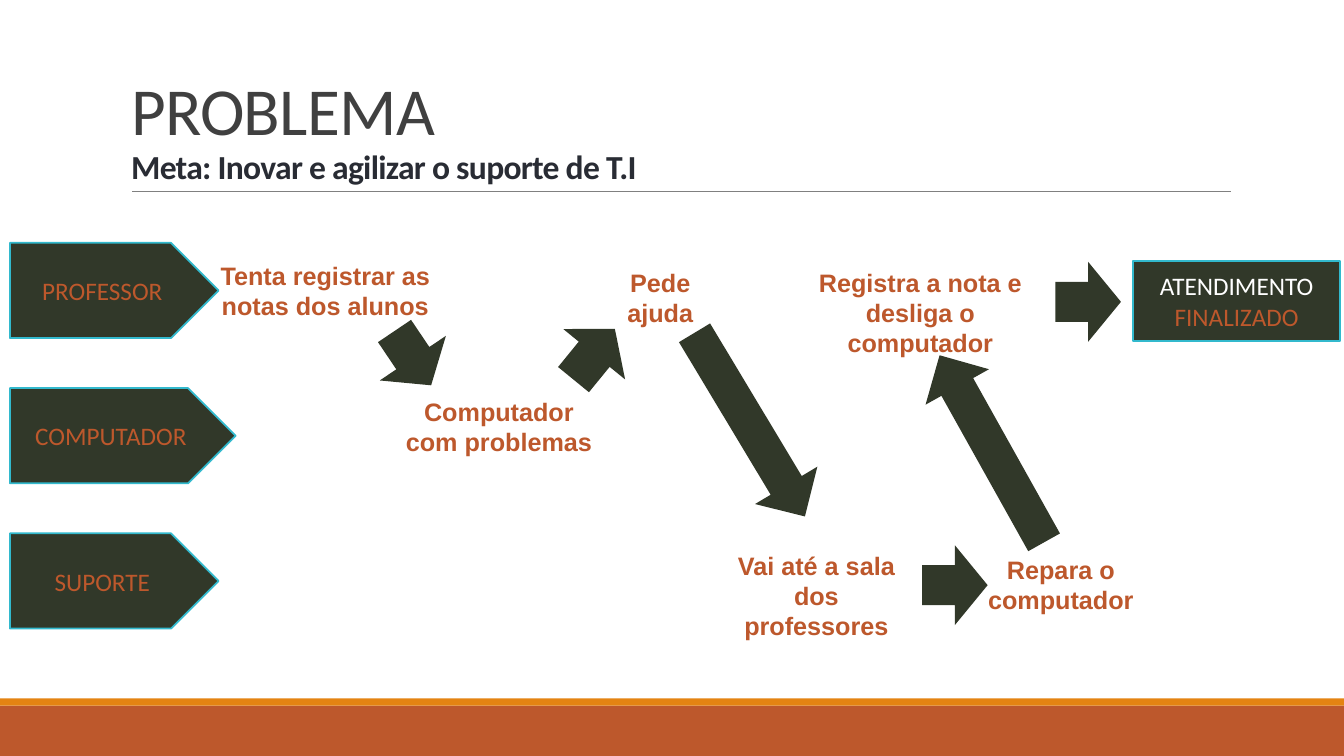
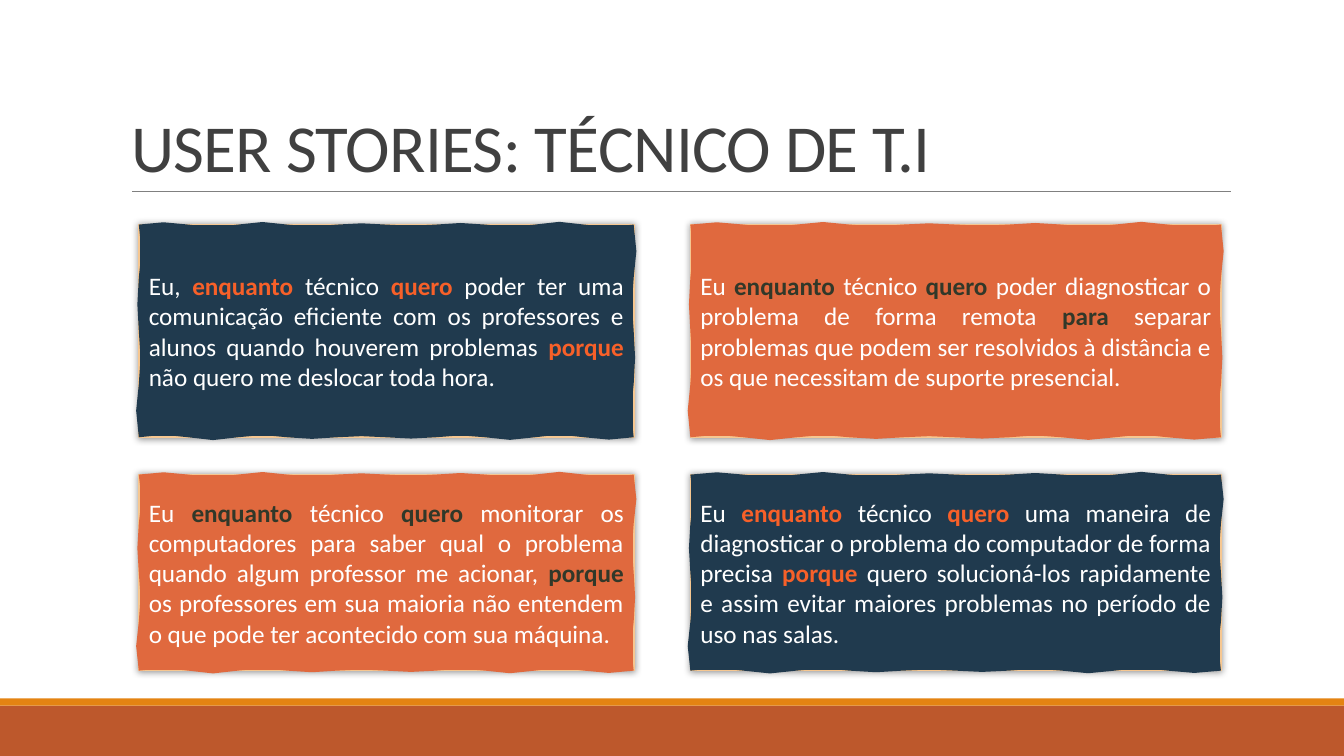
import math
from dataclasses import dataclass

import pptx
import pptx.dml.color
import pptx.enum.shapes
import pptx.enum.text
import pptx.oxml
import pptx.oxml.ns
import pptx.util

Cm = pptx.util.Cm
Pt = pptx.util.Pt
SHAPE = pptx.enum.shapes.MSO_SHAPE
ALIGN = pptx.enum.text.PP_ALIGN
ANCHOR = pptx.enum.text.MSO_ANCHOR
FIT = pptx.enum.text.MSO_AUTO_SIZE


@dataclass(frozen=True)
class Theme:
    rust: str = "BD582C"
    amber: str = "E48312"
    rule: str = "808080"
    title: str = "404040"
    subtitle: str = "292C34"
    dark: str = "313829"
    cyan: str = "32B9CD"
    white: str = "FFFFFF"
    navy: str = "203A4E"
    orange: str = "E0693E"
    bright: str = "F76029"
    edge: str = "F6C791"
    font: str = "Calibri"
    step_font: str = "Arial"
    title_size: int = 48
    subtitle_size: int = 24
    text_size: int = 18
    outline: float = 1.25


def rgb(color):
    return pptx.dml.color.RGBColor.from_string(color)


def ragged_edge(x, y, w, h):
    """Return the points, in EMU, of a rectangle whose sides ripple."""
    corners = [(x, y), (x + w, y), (x + w, y + h), (x, y + h)]
    points = []
    for (x0, y0), (x1, y1) in zip(corners, corners[1:] + corners[:1]):
        length = math.hypot(x1 - x0, y1 - y0)
        ux, uy = (x1 - x0) / length, (y1 - y0) / length
        waves = round(length / 2.6)
        steps = waves * 4
        for i in range(steps):
            t = i / steps
            swell = 0.7 + 0.3 * math.sin(9 * t)
            offset = 0.07 * swell * math.sin(2 * math.pi * waves * t)
            points.append((Cm(x0 + ux * length * t + uy * offset),
                           Cm(y0 + uy * length * t - ux * offset)))
    return points


class Deck:
    def __init__(self, theme):
        self.theme = theme
        self.prs = pptx.Presentation()
        self.prs.slide_width, self.prs.slide_height = Cm(33.87), Cm(19.05)
        self.layout = self.prs.slide_layouts[5]
        self.s = None
        title = self.layout.placeholders[0]
        title.left, title.top, title.width, title.height = map(Cm, (3.05, 0.79, 27.94, 4.04))

    def new_slide(self, title, subtitle=None, spacing=0.85):
        t = self.theme
        first = self.s is None
        self.s = self.prs.slides.add_slide(self.layout)
        if first:
            self.decorate_layout()
        tf = self.s.shapes.title.text_frame
        tf.auto_size = FIT.NONE
        tf.vertical_anchor = ANCHOR.BOTTOM
        p = tf.paragraphs[0]
        p.alignment = ALIGN.LEFT
        p.line_spacing = spacing
        runs = [self.run(p, title, t.title, t.title_size)]
        if subtitle:
            p.add_line_break()
            runs.append(self.run(p, subtitle, t.subtitle, t.subtitle_size, bold=True))
        for r in runs:
            r.font._element.set("spc", "-50")

    def decorate_layout(self):
        """Draw the bands and the title rule, then hand them to the layout."""
        t = self.theme
        parts = [self.shape(SHAPE.RECTANGLE, (0, 17.78, 33.87, 1.27), t.rust),
                 self.shape(SHAPE.RECTANGLE, (0, 17.6, 33.87, 0.18), t.amber),
                 self.line((3.33, 4.83), (31.01, 4.83), t.rule, 0.5)]
        for number, part in enumerate(parts, 100):
            part.element.xpath(".//p:cNvPr")[0].set("id", str(number))
            self.layout.shapes.element.append(part.element)

    def run(self, p, text, color, size=None, bold=False, font=None):
        r = p.add_run()
        r.text = text
        r.font.name = font or self.theme.font
        r.font.size = Pt(size or self.theme.text_size)
        r.font.bold = bold
        r.font.color.rgb = rgb(color)
        return r

    def line(self, start, end, color, width):
        cx = self.s.shapes.add_connector(pptx.enum.shapes.MSO_CONNECTOR.STRAIGHT,
                                         *map(Cm, start + end))
        cx.line.color.rgb = rgb(color)
        cx.line.width = Pt(width)
        cx.element.spPr.append(pptx.oxml.parse_xml(
            f"<a:effectLst {pptx.oxml.ns.nsdecls('a')}/>"))
        return cx

    def paint(self, sp, fill, line=None):
        sp.shadow.inherit = False
        sp.fill.solid()
        sp.fill.fore_color.rgb = rgb(fill)
        if line:
            sp.line.color.rgb = rgb(line)
            sp.line.width = Pt(self.theme.outline)
        else:
            sp.line.fill.background()
        return sp

    def shape(self, kind, box, fill, line=None):
        return self.paint(self.s.shapes.add_shape(kind, *map(Cm, box)), fill, line)

    def label(self, kind, box, *runs):
        """Add an outlined dark shape with centred (text, colour) runs."""
        sp = self.shape(kind, box, self.theme.dark, self.theme.cyan)
        tf = sp.text_frame
        tf.word_wrap = True
        tf.vertical_anchor = ANCHOR.MIDDLE
        p = tf.paragraphs[0]
        p.alignment = ALIGN.CENTER
        for text, color in runs:
            self.run(p, text, color)

    def step(self, box, *lines):
        tf = self.s.shapes.add_textbox(*map(Cm, box)).text_frame
        tf.word_wrap = True
        tf.auto_size = FIT.SHAPE_TO_FIT_TEXT
        for i, text in enumerate(lines):
            p = tf.add_paragraph() if i else tf.paragraphs[0]
            p.alignment = ALIGN.CENTER
            self.run(p, text, self.theme.rust, bold=True, font=self.theme.step_font)

    def arrow(self, box, rotation):
        self.shape(SHAPE.DOWN_ARROW, box, self.theme.dark).rotation = rotation

    def ragged(self, box, fill):
        points = ragged_edge(*box)
        builder = self.s.shapes.build_freeform(*points[0], scale=1.0)
        builder.add_line_segments(points[1:], close=True)
        return self.paint(builder.convert_to_shape(), fill)

    def card(self, box, fill, accent, story):
        """Add a torn-paper card; words between asterisks are keywords."""
        t = self.theme
        back = self.shape(SHAPE.RECTANGLE, box, fill, t.edge)
        back.element.spPr.find(pptx.oxml.ns.qn("a:effectLst")).append(pptx.oxml.parse_xml(
            f'<a:outerShdw {pptx.oxml.ns.nsdecls("a")} blurRad="63500" dist="0" algn="ctr" '
            'rotWithShape="0"><a:srgbClr val="000000"><a:alpha val="40000"/></a:srgbClr>'
            '</a:outerShdw>'))
        sp = self.ragged(box, fill)
        x, _, w, _ = box
        tf = sp.text_frame
        tf.word_wrap = True
        tf.vertical_anchor = ANCHOR.MIDDLE
        tf.margin_left = Cm(x + 0.25) - sp.left
        tf.margin_right = sp.left + sp.width - Cm(x + w - 0.25)
        p = tf.paragraphs[0]
        p.alignment = ALIGN.JUSTIFY
        for i, text in enumerate(story.split("*")):
            keyword = i % 2 == 1
            self.run(p, text, accent if keyword else t.white, bold=keyword)


def problem_slide(deck):
    t = deck.theme
    deck.new_slide("PROBLEMA", "Meta: Inovar e agilizar o suporte de T.I", spacing=0.9)
    lanes = [("PROFESSOR", 5.26), ("COMPUTADOR", 5.69), ("SUPORTE", 5.26)]
    for i, (name, width) in enumerate(lanes):
        deck.label(SHAPE.PENTAGON, (0.25, 6.12 + 3.66 * i, width, 2.4), (name, t.rust))
    deck.label(SHAPE.RECTANGLE, (28.55, 6.58, 5.23, 2.01),
               ("ATENDIMENTO ", t.white), ("FINALIZADO", t.rust))

    short, long = (2.01, 1.65), (1.83, 5.4)
    for corner, size, rotation in [
        ((9.4, 8.2), short, 326),
        ((13.97, 8.1), short, 219.2),
        ((17.98, 8), long, 329),
        ((23.06, 13.92), short, 270),
        ((24.08, 8.61), long, 150.8),
        ((26.42, 6.78), short, 270),
    ]:
        deck.arrow(corner + size, rotation)

    for x, y, width, lines in [
        (5.05, 6.43, 6.3, ["Tenta registrar as", "notas dos alunos"]),
        (9.95, 9.86, 5.25, ["Computador com problemas"]),
        (14.81, 6.6, 3.66, ["Pede ajuda"]),
        (17.96, 13.74, 5.23, ["Vai até a sala dos professores"]),
        (24.64, 13.84, 4.19, ["Repara o computador"]),
        (19.79, 6.6, 6.81, ["Registra a nota e", "desliga o computador"]),
    ]:
        deck.step((x, y, width, 1.8), *lines)


def stories_slide(deck):
    t = deck.theme
    deck.new_slide("USER STORIES: TÉCNICO DE T.I")
    columns = [(3.5, 12.47), (17.4, 13.37)]
    rows = [(5.66, 5.36), (11.96, 4.94)]
    stories = [
        ["Eu, *enquanto *técnico *quero *poder ter uma comunicação eficiente com os "
         "professores e alunos quando houverem problemas *porque *não quero me deslocar "
         "toda hora.",
         "Eu *enquanto *técnico *quero *poder diagnosticar o problema de forma remota "
         "*para* separar problemas que podem ser resolvidos à distância e os que "
         "necessitam de suporte presencial."],
        ["Eu *enquanto *técnico *quero *monitorar os computadores para saber qual o "
         "problema quando algum professor me acionar, *porque *os professores em sua "
         "maioria não entendem o que pode ter acontecido com sua máquina.",
         "Eu *enquanto *técnico *quero *uma maneira de diagnosticar o problema do "
         "computador de forma precisa *porque* quero solucioná-los rapidamente e assim "
         "evitar maiores problemas no período de uso nas salas."],
    ]
    styles = [(t.navy, t.bright), (t.orange, t.dark)]
    for i, (y, h) in enumerate(rows):
        for j, (x, w) in enumerate(columns):
            deck.card((x, y, w, h), *styles[(i + j) % 2], stories[i][j])


def main():
    deck = Deck(Theme())
    problem_slide(deck)
    stories_slide(deck)
    deck.prs.save("out.pptx")


if __name__ == "__main__":
    main()
